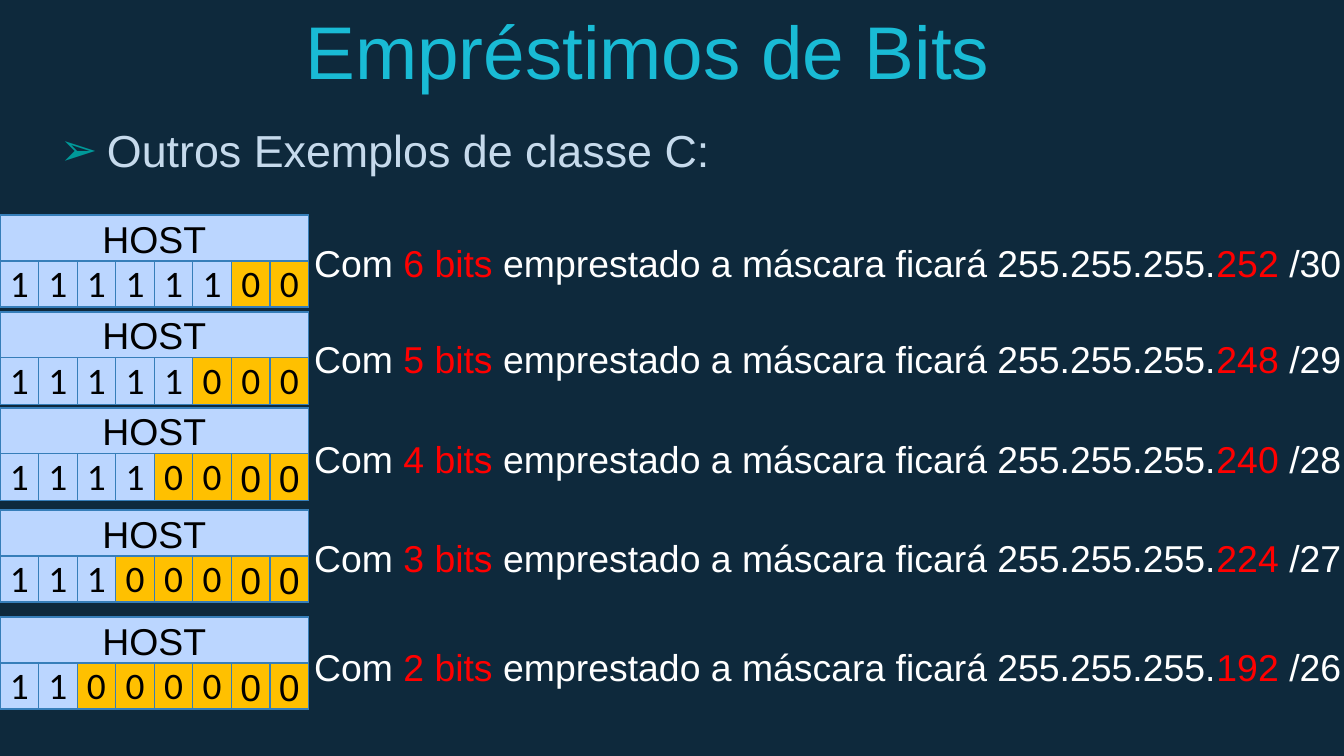
from lxml import etree
from pptx import Presentation
from pptx.dml.color import RGBColor
from pptx.enum.text import MSO_ANCHOR, MSO_AUTO_SIZE, PP_ALIGN
from pptx.oxml.ns import qn
from pptx.util import Pt

SCALE = 914400 / 134.4
BOTTOM, TOP = MSO_ANCHOR.BOTTOM, MSO_ANCHOR.TOP
CENTER, LEFT = PP_ALIGN.CENTER, PP_ALIGN.LEFT
GROW = MSO_AUTO_SIZE.SHAPE_TO_FIT_TEXT
BITS = 8
WHITE, RED, BLACK = "FFFFFF", "FF0000", "000000"
NETWORK, HOST, GRID = "BBD6FF", "FFC000", "367EB9"


def px(length):
    """Turn pixels into EMU."""
    return round(length * SCALE)


def rgb(value):
    """Turn a hex string into a colour."""
    return RGBColor.from_string(value)


def write(frame, runs, size=20, font="Arial", align=LEFT, anchor=TOP, inset=13, wrap=True):
    """Fill a text frame or cell with (text, colour) runs and return the paragraph."""
    frame.margin_left = frame.margin_right = px(inset)
    frame.margin_top = px(inset)
    frame.vertical_anchor = anchor
    frame.word_wrap = wrap
    body = getattr(frame, "text_frame", frame)
    paragraph = body.paragraphs[0]
    paragraph.alignment = align
    for text, colour in runs:
        run = paragraph.add_run()
        run.text = text
        run.font.size = Pt(size)
        run.font.name = font
        run.font.color.rgb = rgb(colour)
    return paragraph


def add_title(slide, left, top, width, height):
    """Place and format the slide title."""
    title = slide.shapes.title
    title.left, title.top, title.width, title.height = map(px, (left, top, width, height))
    heading = write(title.text_frame, [("Empréstimos de Bits", "19BBD5")],
                    size=40, align=CENTER, anchor=BOTTOM)
    title.text_frame.margin_bottom = px(13)
    heading.line_spacing = 0.93


def add_topic(slide, left, top, width, height):
    """Place the bulleted topic line."""
    topic = slide.shapes.add_textbox(*map(px, (left, top, width, height)))
    line = write(topic.text_frame, [("Outros Exemplos de classe C:", "C6DAEC")], size=24)
    line.space_before = Pt(6)
    properties = line._p.get_or_add_pPr()
    properties.set("marL", str(px(67)))
    properties.set("indent", str(px(-47)))
    bullet_colour = etree.SubElement(properties, qn("a:buClr"))
    etree.SubElement(bullet_colour, qn("a:srgbClr"), val="009999")
    etree.SubElement(properties, qn("a:buFont"), typeface="Arial")
    etree.SubElement(properties, qn("a:buChar"), char="➢")


def format_cell(cell, text, fill, font):
    """Write one table cell with its fill and borders."""
    write(cell, [(text, BLACK)], font=font, align=CENTER, anchor=BOTTOM, inset=1)
    cell.margin_bottom = 0
    properties = cell._tc.get_or_add_tcPr()
    for side in ("a:lnL", "a:lnR", "a:lnT", "a:lnB"):
        border = etree.SubElement(properties, qn(side), w=str(Pt(0.75)))
        paint = etree.SubElement(border, qn("a:solidFill"))
        etree.SubElement(paint, qn("a:srgbClr"), val=GRID)
    cell.fill.solid()
    cell.fill.fore_color.rgb = rgb(fill)


def add_octet(slide, left, top, width, heights, borrowed, arial_from):
    """Place the host octet table with its borrowed bits set to one."""
    octet = slide.shapes.add_table(2, BITS, *map(px, (left, top, width, sum(heights)))).table
    octet.first_row = octet.horz_banding = False
    for row, height in zip(octet.rows, heights):
        row.height = px(height)
    for column in octet.columns:
        column.width = px(width / BITS)
    octet.cell(0, 0).merge(octet.cell(0, BITS - 1))
    for bit in range(BITS):
        format_cell(octet.cell(0, bit), "" if bit else "HOST", NETWORK, "Arial")
        value, fill = ("1", NETWORK) if bit < borrowed else ("0", HOST)
        format_cell(octet.cell(1, bit), value, fill, "Arial" if bit >= arial_from else "Calibri")


def add_mask(slide, left, top, width, height, borrowed):
    """Place the sentence giving the mask for the borrowed bits."""
    mask = slide.shapes.add_textbox(*map(px, (left, top, width, height)))
    last_octet = 256 - 2 ** (BITS - borrowed)
    runs = [("Com ", WHITE), (f"{borrowed} bits ", RED),
            ("emprestado a máscara ficará 255.255.255.", WHITE),
            (f"{last_octet} ", RED), (f"/{24 + borrowed}", WHITE)]
    write(mask.text_frame, runs, wrap=False)
    mask.text_frame.margin_top = px(7)
    mask.text_frame.auto_size = GROW


def build():
    """Build and save the slide."""
    deck = Presentation()
    deck.slide_width, deck.slide_height = px(1344), px(756)
    slide = deck.slides.add_slide(deck.slide_layouts[5])
    slide.background.fill.solid()
    slide.background.fill.fore_color.rgb = rgb("0E293C")
    add_title(slide, 51, 8, 1193, 101)
    add_topic(slide, 27, 110, 1293, 358)
    examples = [(6, 215, (46, 46), 8, 233), (5, 312, (43, 47), 8, 329),
                (4, 408, (43, 47), 6, 429), (3, 510, (46, 46), 6, 528),
                (2, 617, (46, 46), 6, 637)]
    for borrowed, octet_top, heights, arial_from, mask_top in examples:
        add_octet(slide, 0, octet_top, 309, heights, borrowed, arial_from)
        add_mask(slide, 301, mask_top, 1060, 59, borrowed)
    deck.save("out.pptx")


build()
